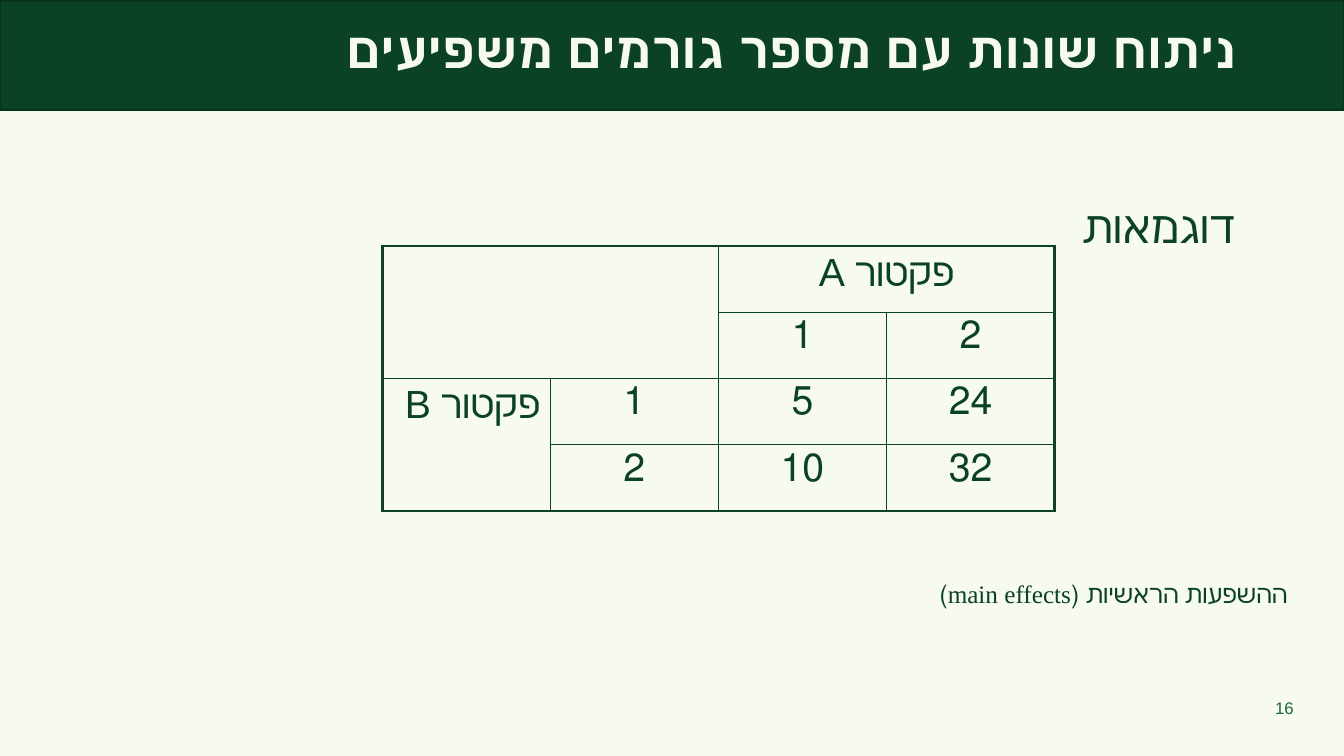
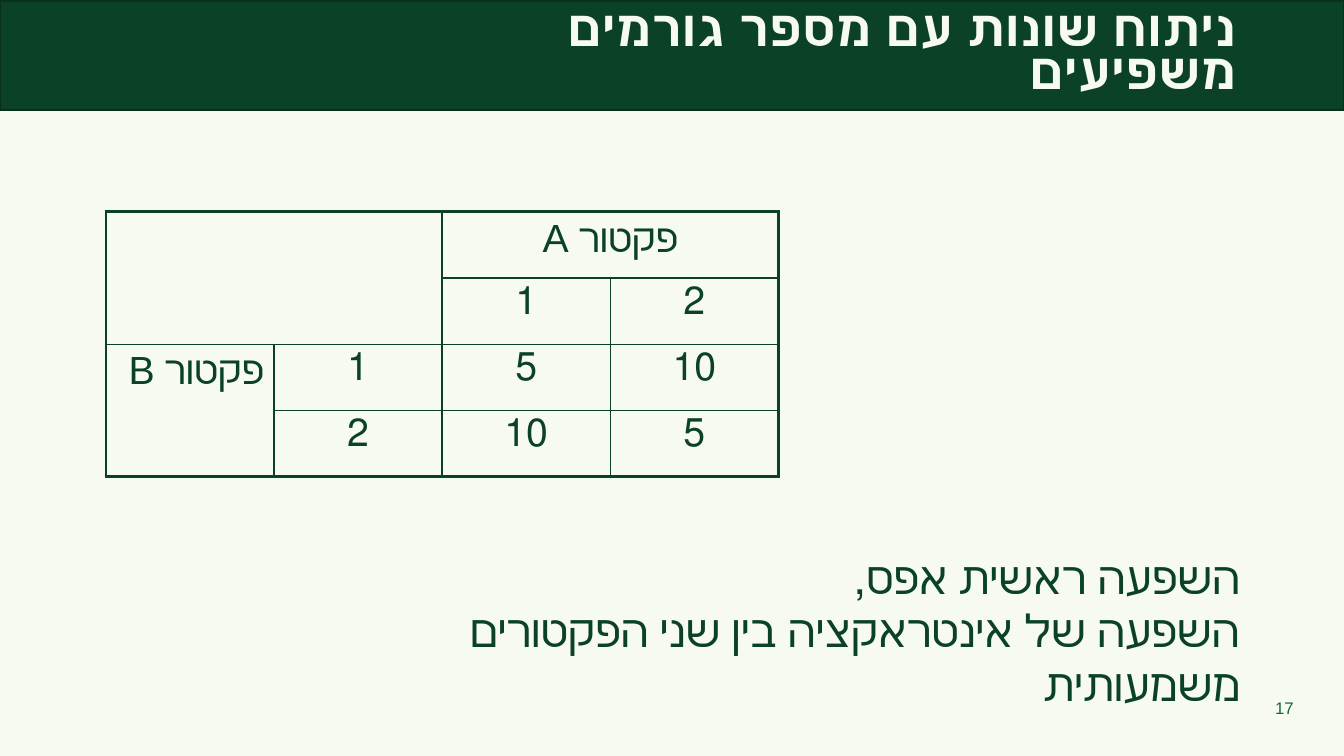
"""Two slides on analysis of variance with several factors."""
from lxml.etree import SubElement
from pptx import Presentation
from pptx.dml.color import RGBColor
from pptx.enum.shapes import MSO_SHAPE as Shape
from pptx.enum.text import MSO_ANCHOR as Anchor, PP_ALIGN as Align
from pptx.oxml.ns import qn
from pptx.util import Inches, Pt

COLORS = {"page": "F6FAF0", "ink": "0A4127", "edge": "07301D", "number": "176936"}
SLIDE_W, SLIDE_H = 13.33, 7.5
BAND_TOP, BAND_H = 0.01, 1.08
COL_W, ROW_H = 6.67 / 4, 2.63 / 4
THIN, THICK = 1, 2.25
TITLE = "ניתוח שונות עם מספר גורמים משפיעים"
FACTOR_A, FACTOR_B = "פקטור A", "פקטור B"
MERGES = [((0, 0), (1, 1)), ((0, 2), (0, 3)), ((2, 0), (3, 0))]

SLIDES = [
    {
        "number": "16",
        "title_box": (2.71, BAND_TOP, 9.65, BAND_H),
        "table_at": (3.79, 2.44),
        "means": [("5", "24"), ("10", "32")],
        "notes": [
            {"box": (4.3, 1.66, 8.06, 4.25), "lines": ["דוגמאות"],
             "size": 32, "spacing": 1.5},
            {"box": (6.2, 5.69, 6.67, 0.4), "lines": ["ההשפעות הראשיות (main effects)"],
             "size": 18, "font": "Times New Roman"},
        ],
    },
    {
        "number": "17",
        "title_box": (4.3, BAND_TOP, 8.06, BAND_H),
        "table_at": (1.05, 2.1),
        "means": [("5", "10"), ("10", "5")],
        "notes": [
            {"box": (3.83, 5.4, 8.57, 1.18),
             "lines": ["השפעה ראשית אפס,",
                       "השפעה של אינטראקציה בין שני הפקטורים משמעותית"],
             "size": 32, "font": "Times New Roman"},
        ],
    },
]


def color(name):
    return RGBColor.from_string(COLORS[name])


def write(paragraph, text, size, font="Arial", ink="ink", bold=False,
          align=Align.RIGHT, rtl=True, spacing=None):
    paragraph.alignment = align
    if rtl:
        paragraph._p.get_or_add_pPr().set("rtl", "1")
    if spacing:
        paragraph.line_spacing = spacing
    run = paragraph.add_run()
    run.text = text
    run.font.size = Pt(size)
    run.font.name = font
    run.font.bold = bold
    run.font.color.rgb = color(ink)


def add_text(slide, box, lines, anchor=Anchor.TOP, **style):
    frame = slide.shapes.add_textbox(*map(Inches, box)).text_frame
    frame.word_wrap = True
    frame.vertical_anchor = anchor
    for index, line in enumerate(lines):
        paragraph = frame.add_paragraph() if index else frame.paragraphs[0]
        write(paragraph, line, **style)


def add_band(slide):
    band = slide.shapes.add_shape(
        Shape.RECTANGLE, 0, Inches(BAND_TOP), Inches(SLIDE_W), Inches(BAND_H))
    band.shadow.inherit = False
    band.fill.solid()
    band.fill.fore_color.rgb = color("ink")
    band.line.color.rgb = color("edge")
    band.line.width = Pt(1)


def set_borders(cell, row, col):
    outer = {
        "a:lnL": col == 0,
        "a:lnR": col + cell.span_width == 4,
        "a:lnT": row == 0,
        "a:lnB": row + cell.span_height == 4,
    }
    properties = cell._tc.get_or_add_tcPr()
    for position, (side, is_outer) in enumerate(outer.items()):
        line = SubElement(properties, qn(side), w=str(Pt(THICK if is_outer else THIN)))
        fill = SubElement(line, qn("a:solidFill"))
        SubElement(fill, qn("a:srgbClr"), val=COLORS["ink"])
        properties.insert(position, line)


def add_factor_table(slide, corner, means):
    rows = [
        ("", "", FACTOR_A, ""),
        ("", "", "1", "2"),
        (FACTOR_B, "1", *means[0]),
        ("", "2", *means[1]),
    ]
    table = slide.shapes.add_table(
        4, 4, *map(Inches, (*corner, 4 * COL_W, 4 * ROW_H))).table
    table.first_row = table.horz_banding = False
    for start, end in MERGES:
        table.cell(*start).merge(table.cell(*end))
    for r, row in enumerate(rows):
        for c, text in enumerate(row):
            cell = table.cell(r, c)
            cell.fill.background()
            set_borders(cell, r, c)
            if text:
                align = Align.RIGHT if text == FACTOR_B else Align.CENTER
                write(cell.text_frame.paragraphs[0], text, 28, align=align)


def main():
    prs = Presentation()
    prs.slide_width, prs.slide_height = Inches(SLIDE_W), Inches(SLIDE_H)
    background = prs.slide_master.background.fill
    background.solid()
    background.fore_color.rgb = color("page")
    for content in SLIDES:
        slide = prs.slides.add_slide(prs.slide_layouts[6])
        add_band(slide)
        add_text(slide, content["title_box"], [TITLE], Anchor.MIDDLE,
                 size=36, ink="page", bold=True, spacing=0.7)
        add_factor_table(slide, content["table_at"], content["means"])
        for note in content["notes"]:
            add_text(slide, **note)
        add_text(slide, (12.41, 6.82, 0.52, 0.4), [content["number"]], Anchor.MIDDLE,
                 size=12, ink="number", rtl=False)
    prs.save("out.pptx")


if __name__ == "__main__":
    main()
